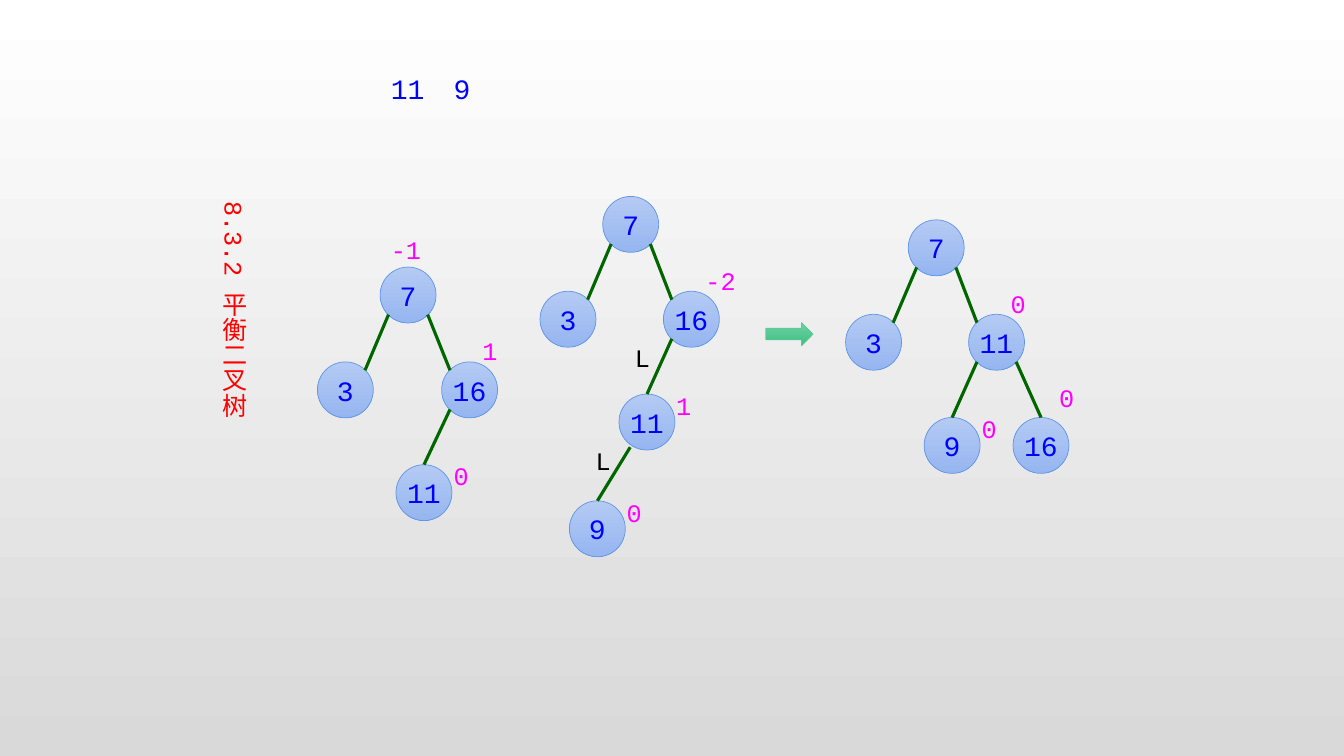
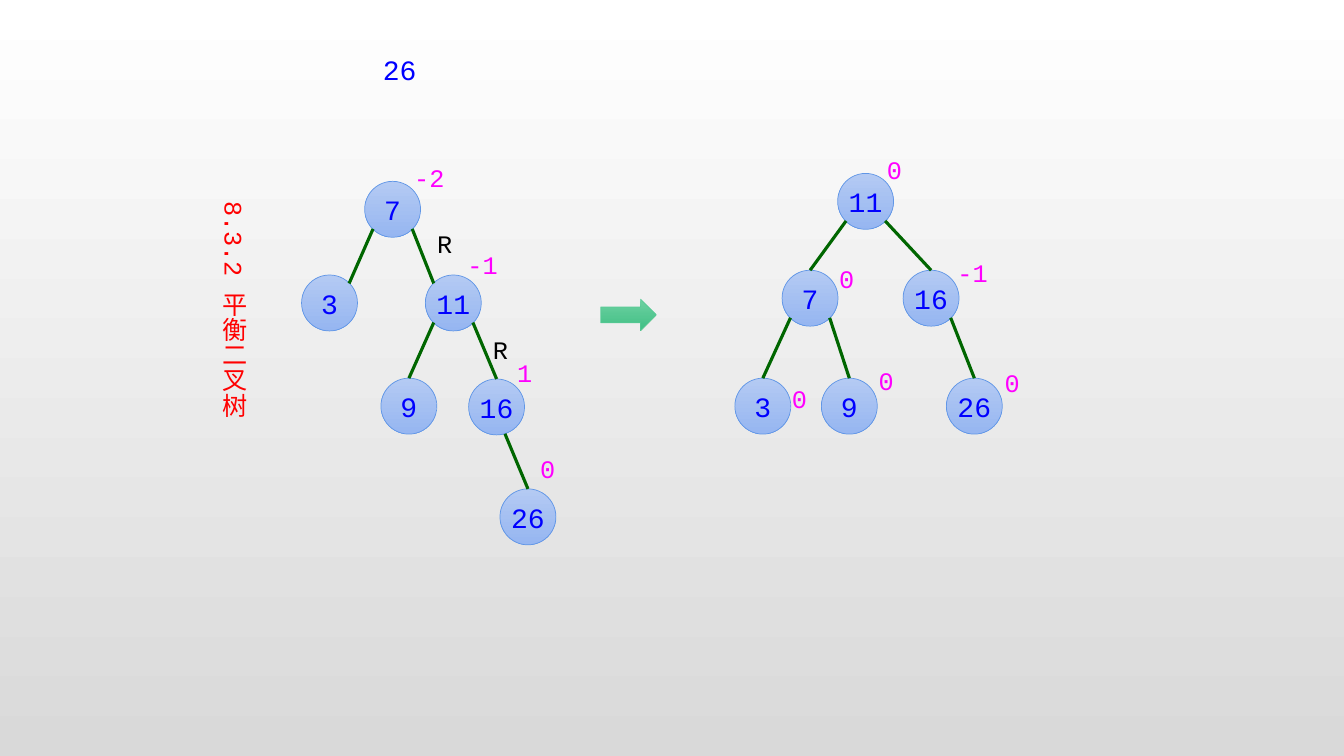
import pptx
import pptx.util
import pptx.dml.color
import pptx.enum.shapes
import pptx.enum.text
import pptx.oxml.ns
import lxml.etree

Cm = pptx.util.Cm
Pt = pptx.util.Pt
SHAPES = pptx.enum.shapes.MSO_SHAPE
ALIGN = pptx.enum.text.PP_ALIGN
ANCHOR = pptx.enum.text.MSO_ANCHOR

FONT = "Courier New"
COLORS = {
    "background_top": "FFFFFF", "background_bottom": "D9D9D9",
    "node_top": "B4CAF3", "node_bottom": "96B6F1", "node_line": "6096E6",
    "arrow_top": "6DD1A1", "arrow_bottom": "41BF85", "arrow_line": "56CA95",
    "edge": "006600", "key": "0000FF", "balance": "FF00FF",
    "rotation": "000000", "title": "FF0000",
}
DIAMETER = 1.41
SITES = {
    "top": (0.5, 0), "top left": (0.15, 0.15), "top right": (0.85, 0.15),
    "bottom left": (0.15, 0.85), "bottom right": (0.85, 0.85),
    "low left": (0.2, 0.95), "low right": (0.65, 0.98),
}
SLIDES = [
    {
        "keys": [("11", 9.6, 1.68), ("9", 11.18, 1.68)],
        "arrow": (19.3, 8.13, 1.19, 0.58),
        "trees": [
            [("7", 9.58, 6.73, None, None, None),
             ("3", 8, 9.12, "7", "bottom left", "top right"),
             ("16", 11.13, 9.12, "7", "bottom right", "top left"),
             ("11", 9.98, 11.71, "16", "bottom left", "top")],
            [("7", 15.19, 4.95, None, None, None),
             ("3", 13.61, 7.34, "7", "bottom left", "top right"),
             ("16", 16.72, 7.34, "7", "bottom right", "top left"),
             ("11", 15.6, 9.93, "16", "bottom left", "top"),
             ("9", 14.35, 12.62, "11", "low left", "top")],
            [("7", 22.89, 5.54, None, None, None),
             ("3", 21.31, 7.92, "7", "bottom left", "top right"),
             ("11", 24.41, 7.92, "7", "bottom right", "top left"),
             ("9", 23.29, 10.52, "11", "bottom left", "top"),
             ("16", 25.53, 10.52, "11", "bottom right", "top")],
        ],
        "balances": [("-1", 9.6, 5.77), ("1", 11.91, 8.33), ("0", 11.18, 11.48),
                     ("-2", 17.53, 6.55), ("1", 16.79, 9.7), ("0", 15.54, 12.4),
                     ("0", 25.22, 7.14), ("0", 24.49, 10.29), ("0", 26.44, 9.52)],
        "rotations": [("L", 15.75, 8.51), ("L", 14.76, 11.1)],
    },
    {
        "keys": [("26", 9.4, 1.19)],
        "arrow": (15.14, 7.54, 1.4, 0.79),
        "trees": [
            [("7", 9.19, 4.57, None, None, None),
             ("3", 7.6, 6.93, "7", "bottom left", "top right"),
             ("11", 10.72, 6.93, "7", "bottom right", "top left"),
             ("9", 9.6, 9.53, "11", "bottom left", "top"),
             ("16", 11.81, 9.55, "11", "bottom right", "top"),
             ("26", 12.6, 12.32, "16", "low right", "top")],
            [("11", 21.11, 4.37, None, None, None),
             ("7", 19.71, 6.81, "11", "bottom left", "top"),
             ("16", 22.76, 6.81, "11", "bottom right", "top"),
             ("3", 18.52, 9.53, "7", "bottom left", "top"),
             ("9", 20.7, 9.53, "7", "bottom right", "top"),
             ("26", 23.85, 9.53, "16", "bottom right", "top")],
        ],
        "balances": [("-2", 10.19, 3.96), ("-1", 11.53, 6.17), ("1", 12.78, 8.89),
                     ("0", 13.36, 11.3), ("0", 22.1, 3.76), ("0", 20.9, 6.5),
                     ("-1", 23.88, 6.35), ("0", 19.71, 9.53), ("0", 21.89, 9.09),
                     ("0", 25.07, 9.12)],
        "rotations": [("R", 10.77, 5.64), ("R", 12.17, 8.31)],
    },
]


def paint(fill, name):
    fill.gradient()
    fill.gradient_angle = 270
    for stop, end, position in zip(fill.gradient_stops, ("top", "bottom"), (0, 1)):
        stop.position = position
        stop.color.rgb = pptx.dml.color.RGBColor.from_string(COLORS[f"{name}_{end}"])


def write(text_frame, text, size, color, align=ALIGN.LEFT):
    text_frame.text = text
    paragraph = text_frame.paragraphs[0]
    paragraph.alignment = align
    font = paragraph.runs[0].font
    font.name = FONT
    font.size = Pt(size)
    font.color.rgb = pptx.dml.color.RGBColor.from_string(COLORS[color])


presentation = pptx.Presentation()
presentation.slide_width = Cm(33.87)
presentation.slide_height = Cm(19.05)
paint(presentation.slide_master.background.fill, "background")
layout = presentation.slide_layouts.get_by_name("Title Only")

for content in SLIDES:
    slide = presentation.slides.add_slide(layout)
    title = slide.shapes.title
    title.left, title.top, title.width, title.height = Cm(5.28), Cm(4.95), Cm(1.27), Cm(8.74)
    write(title.text_frame, "8.3.2 平衡二叉树", 18, "title")
    title.text_frame.auto_size = pptx.enum.text.MSO_AUTO_SIZE.NONE
    title.text_frame.vertical_anchor = ANCHOR.TOP
    title.text_frame._txBody.bodyPr.set("vert", "eaVert")

    for tree in content["trees"]:
        places = {key: (left, top) for key, left, top, *_ in tree}
        for key, left, top, parent, start, end in tree:
            node = slide.shapes.add_shape(
                SHAPES.OVAL, Cm(left), Cm(top), Cm(DIAMETER), Cm(DIAMETER))
            node.shadow.inherit = False
            paint(node.fill, "node")
            node.line.color.rgb = pptx.dml.color.RGBColor.from_string(COLORS["node_line"])
            node.line.width = Pt(0.5)
            write(node.text_frame, key, 20, "key", ALIGN.CENTER)
            node.text_frame.word_wrap = False
            node.text_frame.vertical_anchor = ANCHOR.MIDDLE
            if parent is None:
                continue
            points = [
                Cm(origin + fraction * DIAMETER)
                for place, site in ((places[parent], start), (places[key], end))
                for origin, fraction in zip(place, SITES[site])
            ]
            edge = slide.shapes.add_connector(
                pptx.enum.shapes.MSO_CONNECTOR.STRAIGHT, *points)
            edge.line.color.rgb = pptx.dml.color.RGBColor.from_string(COLORS["edge"])
            edge.line.width = Pt(2.25)
            lxml.etree.SubElement(
                edge._element.spPr, pptx.oxml.ns.qn("a:effectLst"))

    arrow = slide.shapes.add_shape(
        SHAPES.RIGHT_ARROW, *[Cm(length) for length in content["arrow"]])
    arrow.shadow.inherit = False
    paint(arrow.fill, "arrow")
    arrow.line.color.rgb = pptx.dml.color.RGBColor.from_string(COLORS["arrow_line"])
    arrow.line.width = Pt(0.5)

    for group, size, color in (
            ("keys", 20, "key"), ("balances", 18, "balance"), ("rotations", 18, "rotation")):
        for text, left, top in content[group]:
            label = slide.shapes.add_textbox(Cm(left), Cm(top), Cm(1.4), Cm(1.02))
            label.text_frame.word_wrap = True
            write(label.text_frame, text, size, color)

presentation.save("out.pptx")
